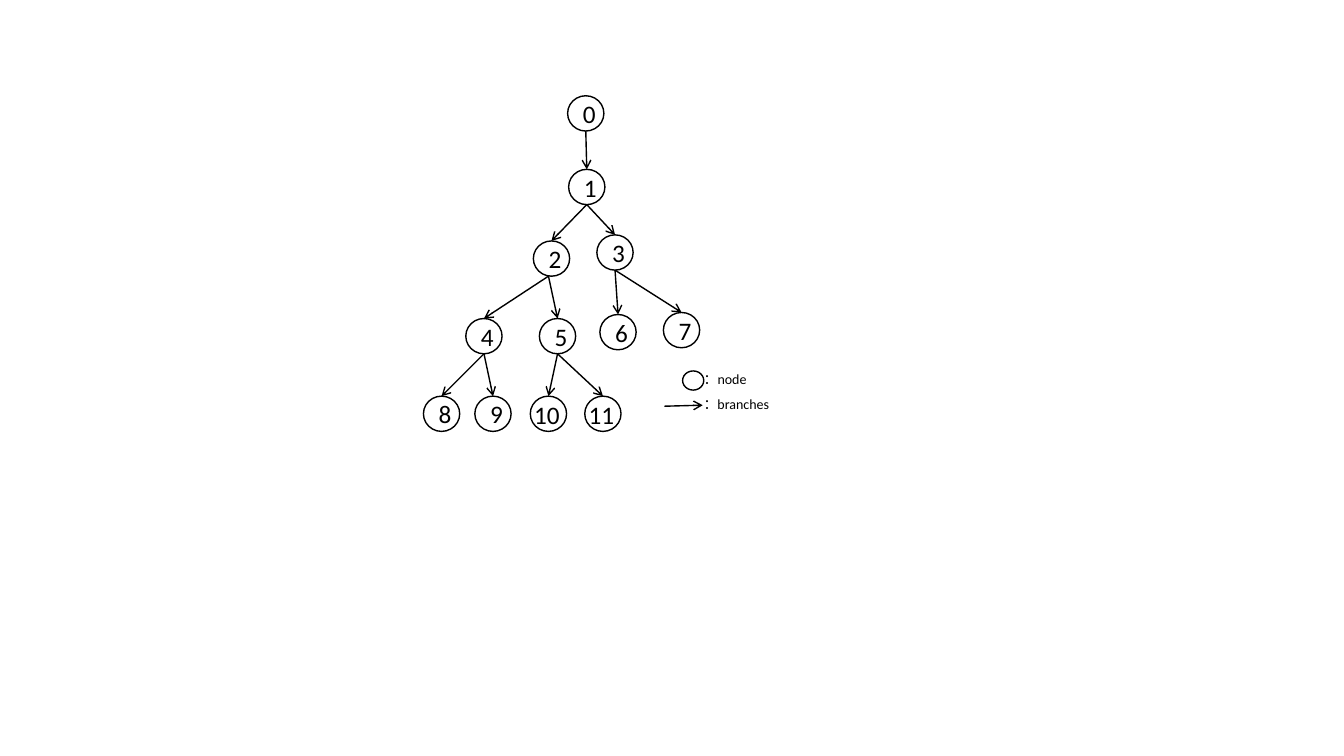
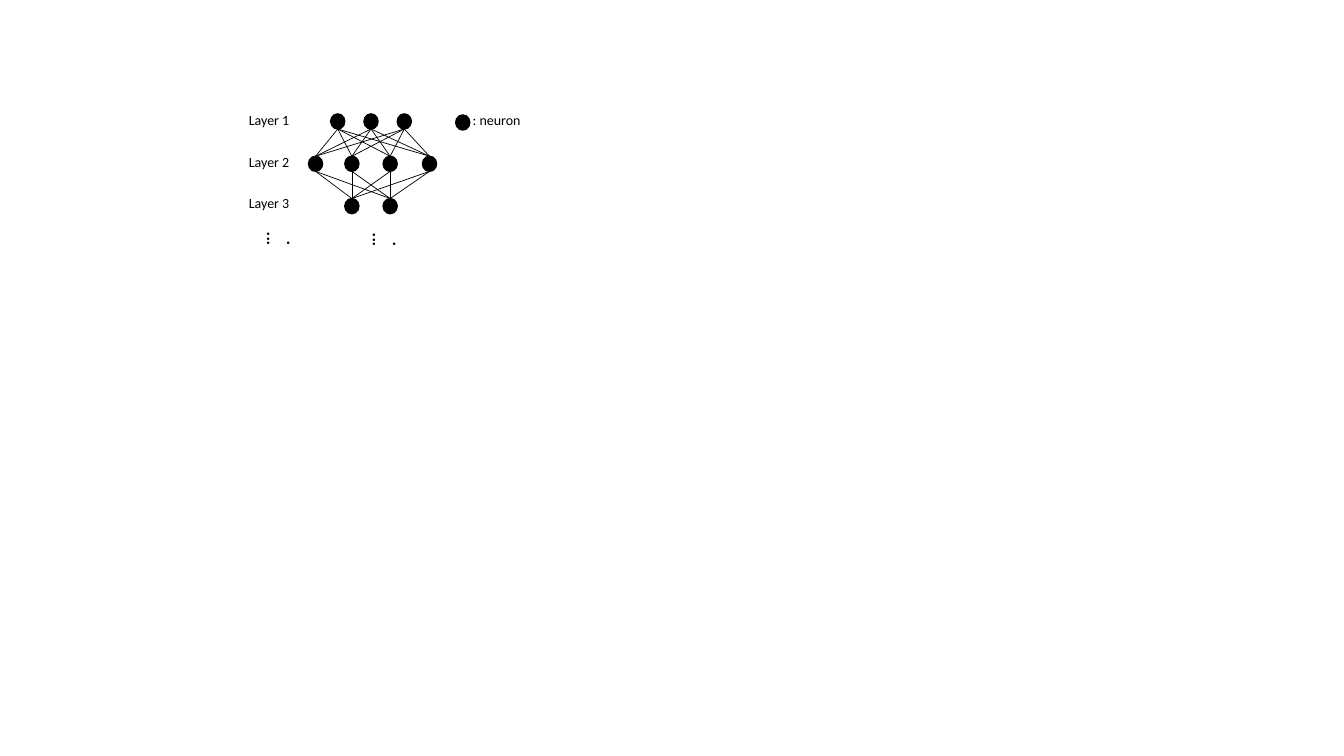
from dataclasses import dataclass
from itertools import pairwise, product

from lxml.etree import SubElement
from pptx import Presentation
from pptx.dml.color import RGBColor as Color
from pptx.enum.shapes import MSO_CONNECTOR as Connector, MSO_SHAPE as Preset
from pptx.enum.text import MSO_ANCHOR as Anchor, MSO_AUTO_SIZE as AutoSize, PP_ALIGN as Align
from pptx.oxml.ns import qn
from pptx.util import Inches, Pt


@dataclass(frozen=True)
class Theme:
    """Colours, type sizes and line widths of the deck."""
    ink: Color = Color(0, 0, 0)
    font: str = "Calibri"
    node_size: int = 18
    label_size: int = 10
    dots_size: int = 12
    outline: float = 1
    link: float = 0.5


THEME = Theme()
NODE_WIDTH, NODE_HEIGHT = 0.36, 0.35
NEURON_WIDTH, NEURON_HEIGHT = 0.14, 0.15
LABEL_HEIGHT = 0.27

NODES = [
    (1.43, 0), (1.44, 0.73), (1.09, 1.44), (1.72, 1.38),
    (0.42, 2.21), (1.15, 2.21), (1.75, 2.17), (2.38, 2.15),
    (0, 2.98), (0.51, 2.98), (1.06, 2.98), (1.6, 2.98),
]
EXIT_SHIFTS = {2: -0.03}
LAYERS = [[0.91, 1.24, 1.57], [0.69, 1.05, 1.43, 1.82], [1.05, 1.43]]
LAYER_PITCH, LABEL_PITCH = 0.42, 0.41


def write(frame, text, size=THEME.label_size, bold=False, align=Align.LEFT, anchor=Anchor.TOP):
    """Put one formatted line of text into a text frame."""
    frame.word_wrap = True
    frame.vertical_anchor = anchor
    para = frame.paragraphs[0]
    para.alignment = align
    span = para.add_run()
    span.text = text
    span.font.name = THEME.font
    span.font.size = Pt(size)
    span.font.bold = bold
    span.font.color.rgb = THEME.ink


def add_label(page, text, left, top, width, height=LABEL_HEIGHT, grow=True, rotation=0, **style):
    """Add a text box, optionally rotated."""
    box = page.shapes.add_textbox(Inches(left), Inches(top), Inches(width), Inches(height))
    box.rotation = rotation
    write(box.text_frame, text, **style)
    box.text_frame.auto_size = AutoSize.SHAPE_TO_FIT_TEXT if grow else AutoSize.NONE


def add_circle(page, left, top, width, height, filled=False):
    """Add an outlined ellipse, solid when filled."""
    circle = page.shapes.add_shape(
        Preset.OVAL, Inches(left), Inches(top), Inches(width), Inches(height))
    circle.shadow.inherit = False
    if filled:
        circle.fill.solid()
        circle.fill.fore_color.rgb = THEME.ink
    else:
        circle.fill.background()
    circle.line.color.rgb = THEME.ink
    circle.line.width = Pt(THEME.outline)
    return circle


def add_line(page, start, end, width=THEME.outline, arrow=False):
    """Add a straight line, with an open arrowhead if wanted."""
    line = page.shapes.add_connector(
        Connector.STRAIGHT, *(Inches(value) for value in (*start, *end)))
    line.line.color.rgb = THEME.ink
    line.line.width = Pt(width)
    if arrow:
        SubElement(line.line._get_or_add_ln(), qn("a:tailEnd"), type="arrow")
    SubElement(line._element.spPr, qn("a:effectLst"))


def add_tree(page, left, top):
    """Draw the binary tree, where node n hangs from node n // 2."""
    places = [(left + x, top + y) for x, y in NODES]
    for number, (x, y) in enumerate(places):
        circle = add_circle(page, x, y, NODE_WIDTH, NODE_HEIGHT)
        if number < 10:
            write(circle.text_frame, str(number), size=THEME.node_size,
                  align=Align.CENTER, anchor=Anchor.MIDDLE)
        else:
            add_label(page, str(number), x - 0.06, y - 0.02, 0.67, 0.4, size=THEME.node_size)
        if number:
            parent = number // 2
            parent_x, parent_y = places[parent]
            start = (parent_x + NODE_WIDTH / 2 + EXIT_SHIFTS.get(parent, 0),
                     parent_y + NODE_HEIGHT)
            add_line(page, start, (x + NODE_WIDTH / 2, y), arrow=True)


def add_tree_legend(page, left, top):
    """Explain the circle and the arrow of the tree."""
    add_circle(page, left + 0.18, top + 0.05, 0.21, 0.19)
    add_line(page, (left, top + 0.4), (left + 0.38, top + 0.39), arrow=True)
    add_label(page, "：node", left + 0.29, top, 0.69)
    add_label(page, "：branches", left + 0.29, top + 0.24, 0.93)


def add_network(page, left, top):
    """Draw the layers of neurons, fully linked from each to the next."""
    layers = [[(left + x, top + 0.07 + row * LAYER_PITCH) for x in columns]
              for row, columns in enumerate(LAYERS)]
    for row, layer in enumerate(layers):
        add_label(page, f"Layer {row + 1}", left, top + row * LABEL_PITCH, 0.64)
        for x, y in layer:
            add_circle(page, x, y, NEURON_WIDTH, NEURON_HEIGHT, filled=True)
    for upper, lower in pairwise(layers):
        for (x1, y1), (x2, y2) in product(upper, lower):
            add_line(page, (x1 + NEURON_WIDTH / 2, y1 + NEURON_HEIGHT),
                     (x2 + NEURON_WIDTH / 2, y2), width=THEME.link)
    for x, y in [(0.09, 1.11), (1.14, 1.12)]:
        add_label(page, "....", left + x, top + y, 0.36, 0.37, grow=False,
                  rotation=270, size=THEME.dots_size, bold=True)


def add_network_legend(page, left, top):
    """Explain the dot of the network."""
    add_label(page, ": neuron", left + 0.07, top, 1.07)
    add_circle(page, left, top + 0.08, NEURON_WIDTH, NEURON_HEIGHT, filled=True)


def main():
    """Build and save the deck."""
    deck = Presentation()
    deck.slide_width, deck.slide_height = Inches(13.33), Inches(7.5)
    blank = deck.slide_layouts[6]
    tree_page = deck.slides.add_slide(blank)
    add_tree(tree_page, 4.2, 0.95)
    add_tree_legend(tree_page, 6.59, 3.63)
    network_page = deck.slides.add_slide(blank)
    add_network(network_page, 2.37, 1.06)
    add_network_legend(network_page, 4.52, 1.06)
    deck.save("out.pptx")


if __name__ == "__main__":
    main()
